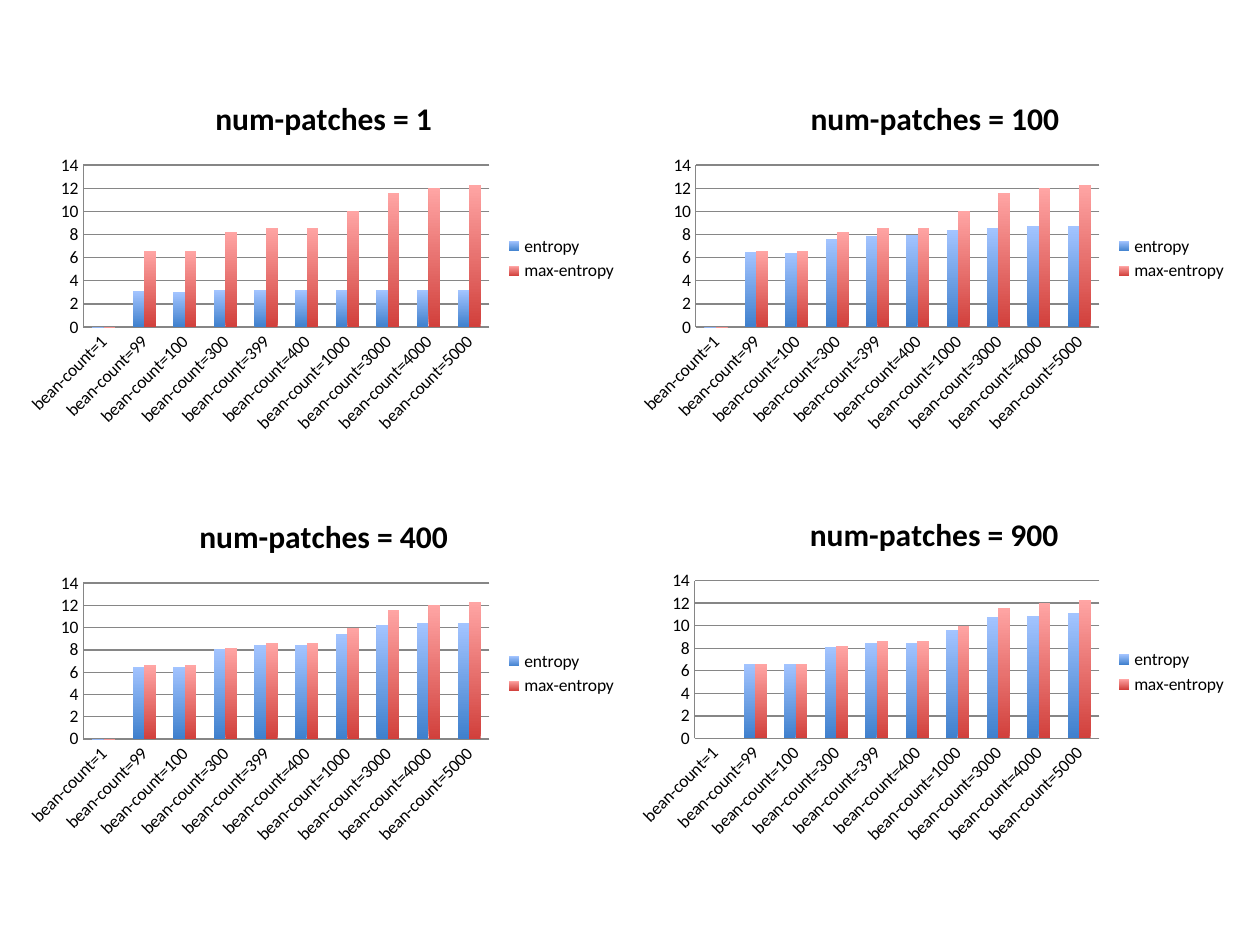
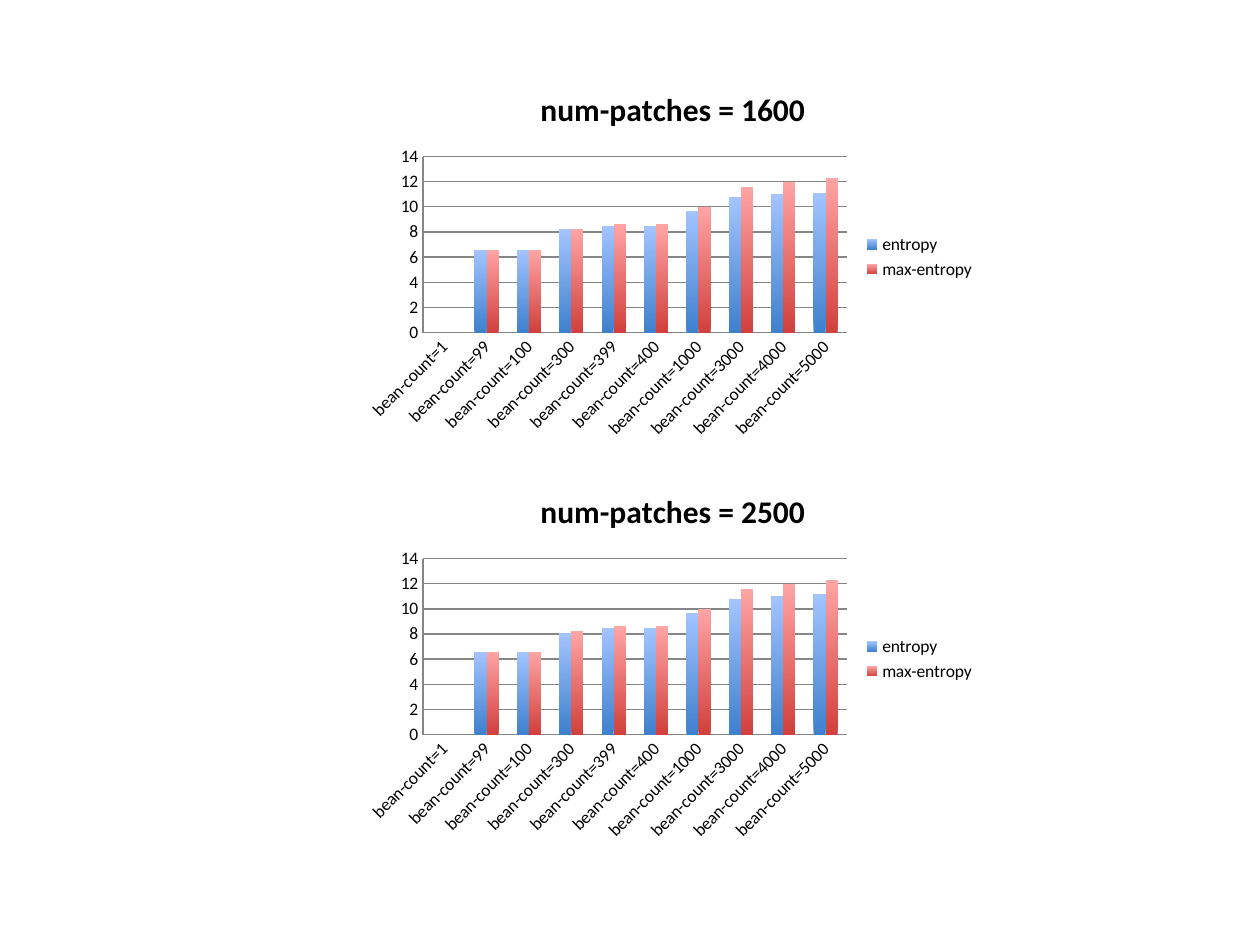
from pptx import Presentation
from pptx.chart.data import CategoryChartData as ChartData
from pptx.dml.color import RGBColor
from pptx.enum.chart import XL_CHART_TYPE as Kind
from pptx.enum.chart import XL_LEGEND_POSITION as Side
from pptx.enum.chart import XL_TICK_MARK as Tick
from pptx.util import Pt

BLACK = RGBColor(0x00, 0x00, 0x00)
GREY = RGBColor(0x86, 0x86, 0x86)
BLUES = RGBColor(0x3F, 0x80, 0xCD), RGBColor(0xA3, 0xC4, 0xFF)
REDS = RGBColor(0xD1, 0x40, 0x3C), RGBColor(0xFF, 0xA5, 0xA4)
FACE = "Calibri"
BOLD = {"size": 18, "bold": True}

BEANS = [1, 99, 100, 300, 399, 400, 1000, 3000, 4000, 5000]
LIMITS = [0, 6.6, 6.6, 8.2, 8.6, 8.6, 10, 11.6, 12, 12.3]

SLIDES = [
    [
        (1, (10, 44, 350, 207.5), {},
         [0, 3.1, 3, 3.2, 3.2, 3.2, 3.2, 3.2, 3.2, 3.2]),
        (100, (360, 44, 348.5, 207.5), BOLD,
         [0, 6.5, 6.4, 7.6, 7.9, 8, 8.4, 8.6, 8.7, 8.7]),
        (400, (10, 283, 350, 203.75), BOLD,
         [0, 6.5, 6.5, 8.1, 8.4, 8.4, 9.4, 10.2, 10.4, 10.4]),
        (900, (359.25, 281.5, 349.25, 205), BOLD,
         [0, 6.6, 6.6, 8.1, 8.5, 8.5, 9.6, 10.8, 10.9, 11.1]),
    ],
    [
        (1600, (204.5, 38.75, 360, 216), BOLD,
         [0, 6.6, 6.6, 8.2, 8.5, 8.5, 9.7, 10.8, 11, 11.1]),
        (2500, (204.5, 268.5, 360, 216), BOLD,
         [0, 6.6, 6.6, 8.1, 8.5, 8.5, 9.7, 10.8, 11, 11.2]),
    ],
]


def set_font(font, size=None, bold=None):
    font.name = FACE
    font.size = Pt(size) if size else None
    font.bold = bold
    font.color.rgb = BLACK


def write(frame, text, **style):
    run = frame.paragraphs[0].add_run()
    run.text = text
    if style:
        set_font(run.font, **style)


def set_line(line):
    line.color.rgb = GREY
    line.width = Pt(0.75)


def set_axis(axis):
    axis.major_tick_mark = Tick.NONE
    axis.minor_tick_mark = Tick.NONE
    set_line(axis.format.line)
    set_font(axis.tick_labels.font, size=10)


def shade(series, colors):
    fill = series.format.fill
    fill.gradient()
    fill.gradient_angle = 90
    for stop, color in zip(fill.gradient_stops, colors):
        stop.color.rgb = color
    series.invert_if_negative = False


def add_bars(slide, patches, box, style, entropy):
    data = ChartData()
    data.categories = [f"bean-count={count}" for count in BEANS]
    data.add_series("entropy", entropy)
    data.add_series("max-entropy", LIMITS)
    frame = slide.shapes.add_chart(
        Kind.COLUMN_CLUSTERED, *map(Pt, box), data)
    chart = frame.chart
    set_font(chart.font)

    chart.has_title = True
    write(chart.chart_title.text_frame, f"num-patches = {patches}", **style)
    chart.has_legend = True
    chart.legend.position = Side.RIGHT
    chart.legend.include_in_layout = False
    set_font(chart.legend.font, size=10)

    scale = chart.value_axis
    set_axis(chart.category_axis)
    set_axis(scale)
    scale.minimum_scale = 0
    scale.maximum_scale = 14
    scale.major_unit = 2
    scale.has_major_gridlines = True
    set_line(scale.major_gridlines.format.line)

    plot = chart.plots[0]
    plot.gap_width = 150
    plot.vary_by_categories = False
    for series, colors in zip(plot.series, (BLUES, REDS)):
        shade(series, colors)


def main():
    deck = Presentation()
    deck.slide_width, deck.slide_height = Pt(720), Pt(540)
    blank = deck.slide_layouts[6]
    for charts in SLIDES:
        slide = deck.slides.add_slide(blank)
        for chart in charts:
            add_bars(slide, *chart)
    deck.save("out.pptx")


if __name__ == "__main__":
    main()
